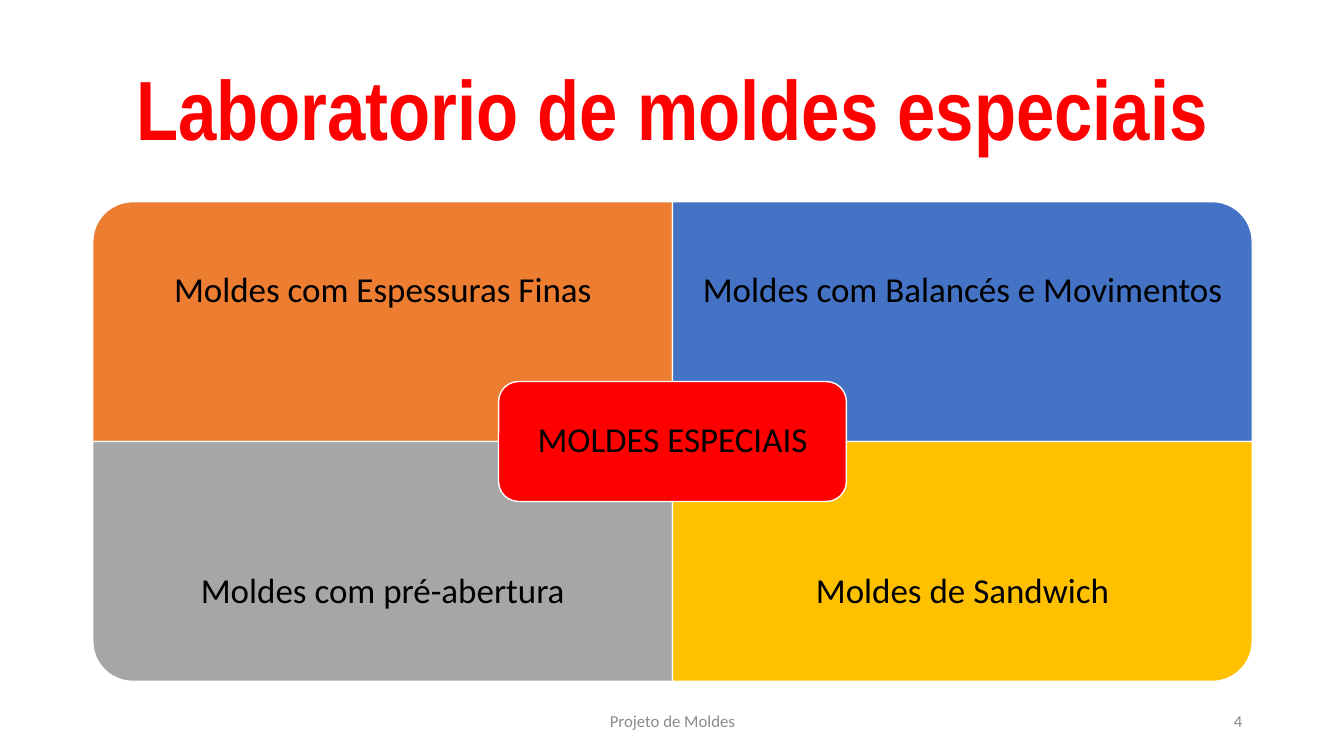
from dataclasses import dataclass

from pptx import Presentation
from pptx.dml.color import RGBColor
from pptx.enum.shapes import MSO_SHAPE as Shape
from pptx.enum.text import MSO_ANCHOR as Anchor, PP_ALIGN as Align
from pptx.util import Inches, Pt

TITLE = "Laboratorio de moldes especiais"
CENTER = "MOLDES ESPECIAIS"
QUADRANTS = [
    ("Moldes com Espessuras Finas", "ED7D31", 270),
    ("Moldes com Balancés e Movimentos", "4472C4", 0),
    ("Moldes com pré-abertura", "A6A6A6", 180),
    ("Moldes de Sandwich", "FFC000", 90),
]
FOOTERS = [("Projeto de Moldes", 4.42, 4.5, Align.CENTER), ("4", 9.42, 3, Align.RIGHT)]


@dataclass(frozen=True)
class Theme:
    title_font: str = "Arial Narrow"
    body_font: str = "Calibri"
    red: str = "FF0000"
    text: str = "000000"
    edge: str = "FFFFFF"
    muted: str = "8C8C8C"
    title_size: int = 60
    label_size: int = 25
    footer_size: int = 12


THEME = Theme()
LEFT, TOP, WIDTH, HEIGHT = 0.92, 2, 5.75, 2.38
LABEL_HEIGHT = 1.78
CENTER_WIDTH, CENTER_HEIGHT = 3.45, 1.19


def write(shape, text, font, size, color, align=Align.CENTER, spacing=0.9, inset=None, bold=False):
    """Write one formatted, vertically centred line into a shape."""
    frame = shape.text_frame
    frame.text = text
    frame.word_wrap = True
    frame.vertical_anchor = Anchor.MIDDLE
    if inset is not None:
        frame.margin_left = frame.margin_right = Inches(inset)
        frame.margin_top = frame.margin_bottom = Inches(inset)
    para = frame.paragraphs[0]
    para.alignment = align
    para.line_spacing = spacing
    para.font.name = font
    para.font.size = Pt(size)
    para.font.bold = bold
    para.font.color.rgb = RGBColor.from_string(color)


def add_panel(page, kind, left, top, width, height, color, rotation=0):
    """Add a filled panel that covers the given area after rotation."""
    middle, center = left + width / 2, top + height / 2
    if rotation % 180:
        width, height = height, width
    panel = page.shapes.add_shape(
        kind, Inches(middle - width / 2), Inches(center - height / 2), Inches(width), Inches(height))
    panel.rotation = rotation
    panel.shadow.inherit = False
    panel.fill.solid()
    panel.fill.fore_color.rgb = RGBColor.from_string(color)
    panel.line.color.rgb = RGBColor.from_string(THEME.edge)
    panel.line.width = Pt(1)
    return panel


def add_label(page, left, top, width, height):
    """Add an empty text box."""
    return page.shapes.add_textbox(Inches(left), Inches(top), Inches(width), Inches(height))


def main():
    """Build the slide and save it."""
    deck = Presentation()
    deck.slide_width, deck.slide_height = Inches(13.33), Inches(7.5)
    page = deck.slides.add_slide(deck.slide_layouts[5])

    title = page.shapes.title
    title.left, title.top = Inches(LEFT), Inches(0.4)
    title.width, title.height = Inches(2 * WIDTH), Inches(1.45)
    write(title, TITLE, THEME.title_font, THEME.title_size, THEME.red, bold=True)

    for index, (text, color, rotation) in enumerate(QUADRANTS):
        row, column = divmod(index, 2)
        left, top = LEFT + column * WIDTH, TOP + row * HEIGHT
        add_panel(page, Shape.ROUND_1_RECTANGLE, left, top, WIDTH, HEIGHT, color, rotation)
        label_top = top + row * (HEIGHT - LABEL_HEIGHT)
        label = add_label(page, left, label_top, WIDTH, LABEL_HEIGHT)
        write(label, text, THEME.body_font, THEME.label_size, THEME.text, inset=0.19)

    center = add_panel(
        page, Shape.ROUNDED_RECTANGLE, LEFT + WIDTH - CENTER_WIDTH / 2,
        TOP + HEIGHT - CENTER_HEIGHT / 2, CENTER_WIDTH, CENTER_HEIGHT, THEME.red)
    write(center, CENTER, THEME.body_font, THEME.label_size, THEME.text, inset=0.16)

    for text, left, width, align in FOOTERS:
        footer = add_label(page, left, 6.95, width, 0.4)
        write(footer, text, THEME.body_font, THEME.footer_size, THEME.muted, align, spacing=1)

    deck.save("out.pptx")


if __name__ == "__main__":
    main()
